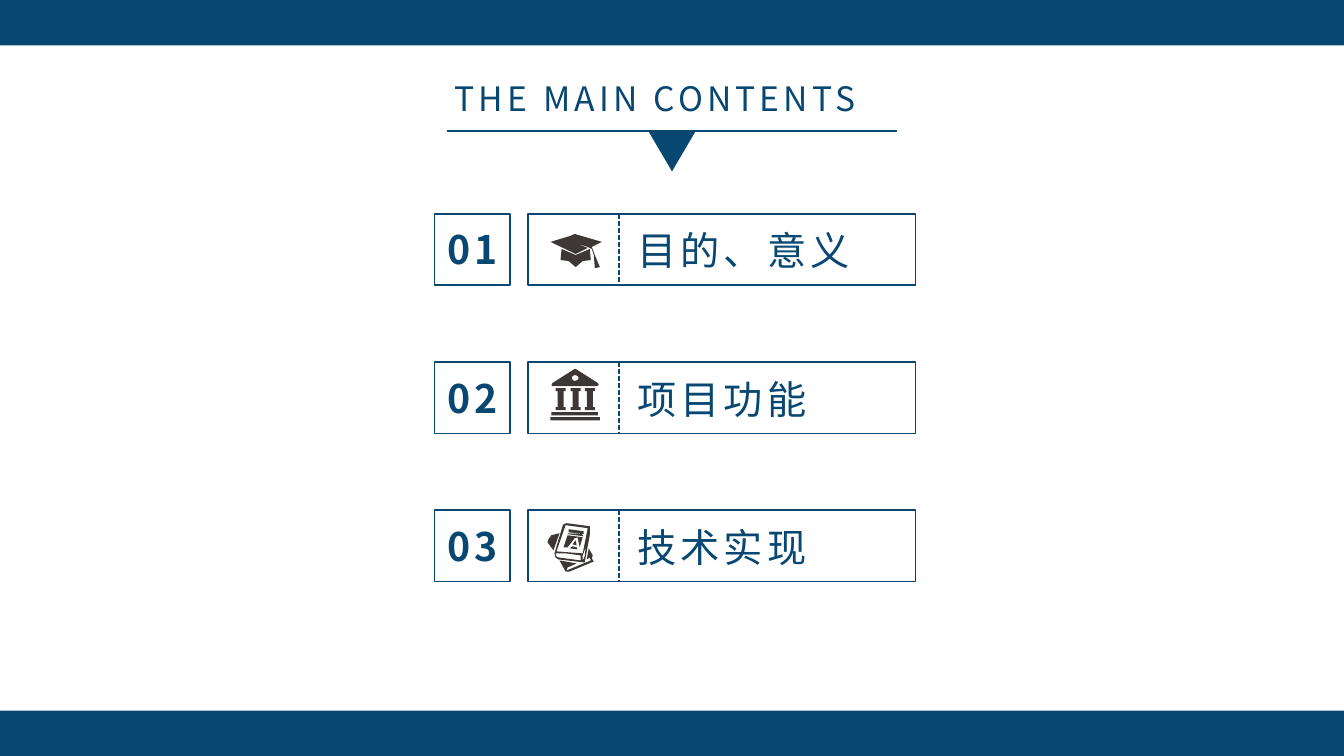
from dataclasses import dataclass
from typing import Optional

from lxml.etree import SubElement
from pptx import Presentation
from pptx.dml.color import RGBColor
from pptx.enum.dml import MSO_LINE_DASH_STYLE as Dash
from pptx.enum.shapes import MSO_CONNECTOR_TYPE as Connector, MSO_SHAPE as Preset
from pptx.oxml.ns import qn
from pptx.shapes.autoshape import Shape
from pptx.shapes.shapetree import SlideShapes
from pptx.util import Inches, Pt

Contour = list[tuple[int, int]]


@dataclass(frozen=True)
class Theme:
    navy: RGBColor = RGBColor(0x08, 0x47, 0x72)
    charcoal: RGBColor = RGBColor(0x3D, 0x38, 0x36)
    font: str = "Noto Sans CJK SC"
    heading_size: int = 24
    entry_size: int = 28
    letter_spacing: int = 3
    rule_width: float = 1.5
    frame_width: float = 1.25


@dataclass(frozen=True)
class Box:
    left: float
    top: float
    width: float
    height: float


@dataclass(frozen=True)
class Entry:
    title: str
    icon: list[Contour]


THEME = Theme()
SLIDE_WIDTH, SLIDE_HEIGHT = 13.33, 7.5
BAND_HEIGHT = 0.45
FIRST_ROW, ROW_PITCH, ROW_HEIGHT = 2.12, 1.47, 0.71
ICON_LEFT, ICON_UNIT = 5.4, 0.01


def bar(left: int, top: int, right: int, bottom: int) -> Contour:
    return [(left, top), (right, top), (right, bottom), (left, bottom)]


def column(left: int) -> Contour:
    right = left + 10
    return [
        (left, 26), (right, 26), (right, 29), (right - 2, 29),
        (right - 2, 45), (right, 45), (right, 48), (left, 48),
        (left, 45), (left + 2, 45), (left + 2, 29), (left, 29),
    ]


GRADUATION_CAP: list[Contour] = [
    [(26, 22), (30, 20), (33, 21), (57, 28), (47, 33), (50, 41), (55, 53),
     (50, 54), (49, 41), (47, 35), (43, 33), (30, 29), (43, 34), (31, 40), (6, 28)],
    [(17, 35), (31, 41), (45, 35), (46, 46), (38, 47), (31, 53), (24, 47), (16, 46)],
]
BANK: list[Contour] = [
    bar(6, 55, 55, 58),
    bar(7, 50, 53, 53),
    [(7, 23), (8, 21), (30, 7), (31, 7), (53, 21), (54, 23), (52, 24), (8, 24)],
    [(27, 16), (28, 14), (30, 13), (33, 14), (34, 16), (33, 18), (30, 19), (28, 18)],
    *[column(left) for left in (11, 26, 40)],
]
BOOKS: list[Contour] = [
    [(18, 16), (19, 14), (22, 13), (45, 16), (45, 25), (40, 52), (14, 49),
     (11, 47), (10, 43)],
    [(21, 15), (12, 41), (38, 43), (43, 18)],
    [(41, 37), (38, 45), (38, 50), (40, 46)],
    [(11, 43), (12, 46), (14, 47), (36, 50), (36, 45), (21, 43)],
    [(24, 19), (24, 22), (39, 24), (39, 21)],
    [(23, 23), (24, 24), (39, 26), (37, 24)],
    [(19, 37), (23, 37), (30, 28), (33, 27), (35, 37), (38, 27), (23, 25)],
    [(31, 30), (28, 34), (32, 35)],
    [(25, 38), (33, 39), (32, 37), (28, 36)],
    [(4, 29), (3, 32), (9, 40), (15, 23), (7, 25)],
    [(44, 38), (42, 49), (45, 47), (46, 50), (22, 60), (23, 57), (32, 53),
     (15, 50), (21, 61), (25, 61), (49, 51), (47, 48), (48, 45)],
]
ENTRIES = [
    Entry("目的、意义", GRADUATION_CAP),
    Entry("项目功能", BANK),
    Entry("技术实现", BOOKS),
]


def fill_solid(shape: Shape, color: RGBColor) -> None:
    shape.shadow.inherit = False
    shape.fill.solid()
    shape.fill.fore_color.rgb = color
    shape.line.fill.background()


def add_preset(shapes: SlideShapes, preset: Preset, box: Box) -> Shape:
    return shapes.add_shape(
        preset, Inches(box.left), Inches(box.top), Inches(box.width), Inches(box.height)
    )


def add_band(shapes: SlideShapes, top: float) -> None:
    band = add_preset(shapes, Preset.RECTANGLE, Box(0, top, SLIDE_WIDTH, BAND_HEIGHT))
    fill_solid(band, THEME.navy)


def add_frame(shapes: SlideShapes, box: Box) -> None:
    frame = add_preset(shapes, Preset.RECTANGLE, box)
    frame.shadow.inherit = False
    frame.fill.background()
    frame.line.color.rgb = THEME.navy
    frame.line.width = Pt(THEME.frame_width)


def add_rule(
    shapes: SlideShapes, start: tuple[float, float], end: tuple[float, float],
    width: float, dash: Optional[Dash] = None,
) -> None:
    rule = shapes.add_connector(
        Connector.STRAIGHT, *[Inches(length) for length in (*start, *end)]
    )
    rule.line.color.rgb = THEME.navy
    rule.line.width = Pt(width)
    if dash is not None:
        rule.line.dash_style = dash
    SubElement(rule._element.spPr, qn("a:effectLst"))


def add_label(
    shapes: SlideShapes, text: str, box: Box, size: int, bold: bool = False
) -> None:
    label = shapes.add_textbox(
        Inches(box.left), Inches(box.top), Inches(box.width), Inches(box.height)
    )
    label.text_frame.word_wrap = True
    paragraph = label.text_frame.paragraphs[0]
    paragraph.text = text
    font = paragraph.font
    font.name, font.size, font.bold = THEME.font, Pt(size), bold
    font.color.rgb = THEME.navy
    defaults = paragraph._p.pPr.find(qn("a:defRPr"))
    defaults.set("spc", str(THEME.letter_spacing * 100))
    SubElement(defaults, qn("a:ea"), typeface=THEME.font)


def add_icon(shapes: SlideShapes, contours: list[Contour], top: float) -> None:
    first, *others = contours
    builder = shapes.build_freeform(*first[0], scale=float(Inches(ICON_UNIT)))
    builder.add_line_segments(first[1:])
    for contour in others:
        builder.move_to(*contour[0])
        builder.add_line_segments(contour[1:])
    fill_solid(builder.convert_to_shape(Inches(ICON_LEFT), Inches(top)), THEME.charcoal)


def add_heading(shapes: SlideShapes) -> None:
    add_label(shapes, "THE MAIN CONTENTS", Box(4.41, 0.72, 4.52, 0.5), THEME.heading_size)
    add_rule(shapes, (4.43, 1.3), (8.9, 1.3), THEME.rule_width)
    pointer = add_preset(shapes, Preset.ISOSCELES_TRIANGLE, Box(6.43, 1.3, 0.47, 0.4))
    pointer.rotation = 180
    fill_solid(pointer, THEME.navy)


def add_entry(shapes: SlideShapes, number: int, entry: Entry) -> None:
    top = FIRST_ROW + (number - 1) * ROW_PITCH
    add_frame(shapes, Box(4.31, top, 0.75, ROW_HEIGHT))
    add_frame(shapes, Box(5.24, top, 3.84, ROW_HEIGHT))
    add_label(
        shapes, f"{number:02}", Box(4.34, top + 0.07, 0.97, 0.57), THEME.entry_size, True
    )
    add_label(shapes, entry.title, Box(6.22, top + 0.08, 3.1, 0.57), THEME.entry_size)
    add_icon(shapes, entry.icon, top)
    add_rule(
        shapes, (6.14, top), (6.14, top + ROW_HEIGHT), THEME.frame_width, Dash.SQUARE_DOT
    )


def main() -> None:
    deck = Presentation()
    deck.slide_width, deck.slide_height = Inches(SLIDE_WIDTH), Inches(SLIDE_HEIGHT)
    shapes = deck.slides.add_slide(deck.slide_layouts[6]).shapes
    for top in (0, SLIDE_HEIGHT - BAND_HEIGHT):
        add_band(shapes, top)
    add_heading(shapes)
    for number, entry in enumerate(ENTRIES, start=1):
        add_entry(shapes, number, entry)
    deck.save("out.pptx")


if __name__ == "__main__":
    main()
